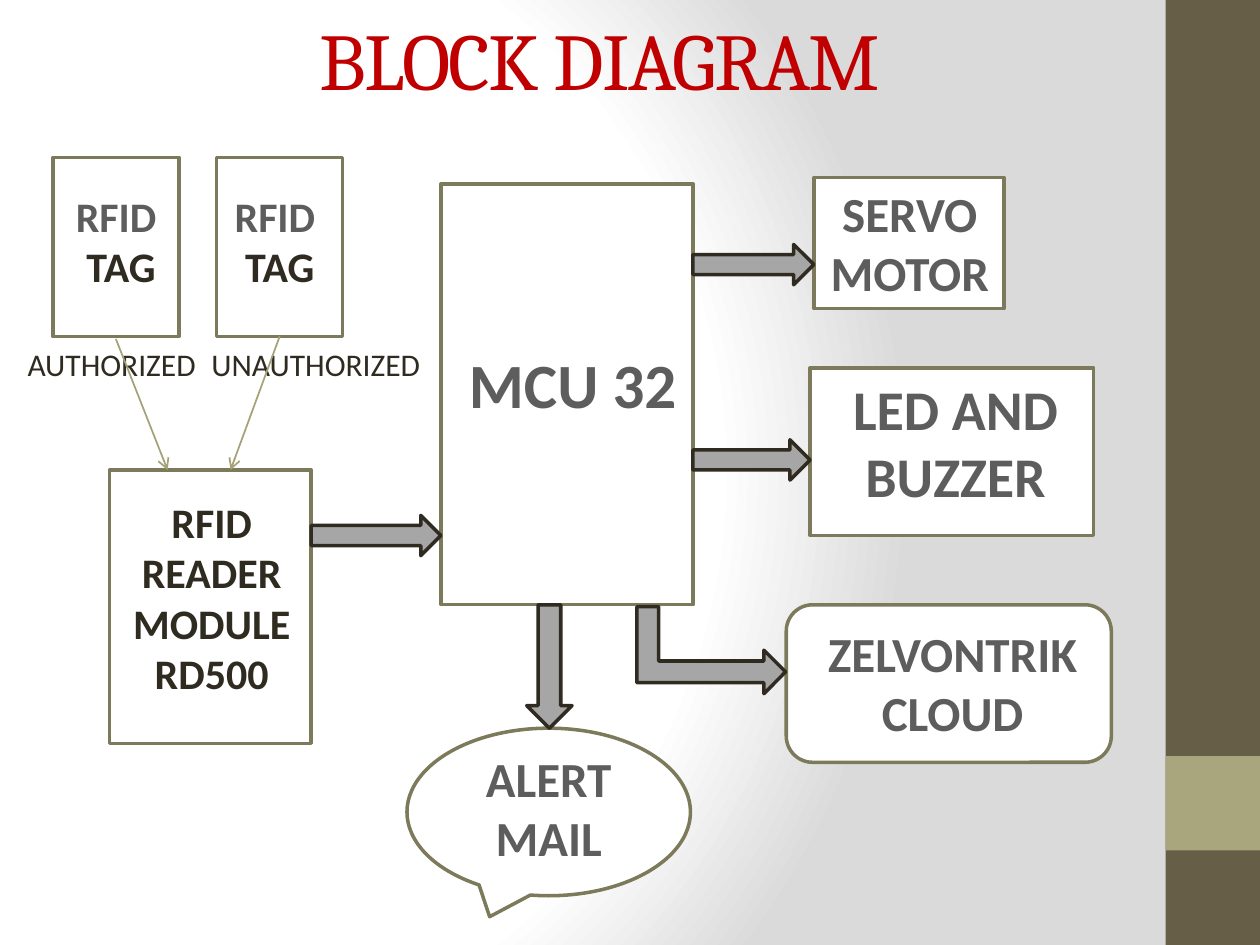
from dataclasses import dataclass

from lxml import etree
from pptx import Presentation
from pptx.dml.color import RGBColor
from pptx.enum.shapes import MSO_CONNECTOR, MSO_SHAPE
from pptx.enum.text import MSO_ANCHOR, PP_ALIGN
from pptx.oxml import parse_xml
from pptx.oxml.ns import qn
from pptx.util import Inches, Pt

RECT, ROUNDED = MSO_SHAPE.RECTANGLE, MSO_SHAPE.ROUNDED_RECTANGLE
CALLOUT = MSO_SHAPE.OVAL_CALLOUT
RIGHT, BENT = MSO_SHAPE.RIGHT_ARROW, MSO_SHAPE.BENT_UP_ARROW
STRAIGHT = MSO_CONNECTOR.STRAIGHT
CENTER, LEFT = PP_ALIGN.CENTER, PP_ALIGN.LEFT
MIDDLE = MSO_ANCHOR.MIDDLE

WHITE = RGBColor(0xFF, 0xFF, 0xFF)
BROWN = RGBColor(0x67, 0x5E, 0x47)
SAGE = RGBColor(0xA9, 0xA5, 0x7C)
OLIVE = RGBColor(0x7D, 0x7A, 0x5C)
LINK = RGBColor(0xA6, 0xA2, 0x78)
GRAY = RGBColor(0xA6, 0xA6, 0xA6)
DARK = RGBColor(0x2F, 0x2B, 0x20)
SLATE = RGBColor(0x5D, 0x5D, 0x5D)
RED = RGBColor(0xC0, 0x00, 0x00)

BACKDROP = """<a:gradFill xmlns:a="http://schemas.openxmlformats.org/drawingml/2006/main"
 rotWithShape="1"><a:gsLst><a:gs pos="0"><a:srgbClr val="FFFFFF"/></a:gs>
<a:gs pos="75000"><a:srgbClr val="FFFFFF"/></a:gs>
<a:gs pos="100000"><a:srgbClr val="DADADA"/></a:gs></a:gsLst>
<a:path path="circle"><a:fillToRect l="20000" t="50000" r="100000" b="50000"/></a:path>
</a:gradFill>"""


@dataclass
class Block:
    left: float
    top: float
    width: float
    height: float
    kind: int = RECT
    fill: RGBColor = WHITE
    line: RGBColor | None = OLIVE
    rotation: float = 0


@dataclass
class Label:
    left: float
    top: float
    width: float
    height: float
    lines: list[tuple[str, RGBColor]]
    size: int
    bold: bool = True
    align: int = CENTER
    wrap: bool = True


@dataclass
class Link:
    start: tuple[float, float]
    end: tuple[float, float]


def arrow(left: float, top: float, width: float, height: float,
          kind: int = RIGHT, rotation: float = 0) -> Block:
    return Block(left, top, width, height, kind, GRAY, DARK, rotation)


def set_font(font, color: RGBColor, **values) -> None:
    for name, value in values.items():
        setattr(font, name, value)
    font.color.rgb = color


def draw_block(slide, block: Block) -> None:
    shape = slide.shapes.add_shape(block.kind, Inches(block.left), Inches(block.top),
                                   Inches(block.width), Inches(block.height))
    shape.shadow.inherit = False
    shape.rotation = block.rotation
    shape.fill.solid()
    shape.fill.fore_color.rgb = block.fill
    if block.line is None:
        shape.line.fill.background()
    else:
        shape.line.color.rgb = block.line
        shape.line.width = Pt(2)


def draw_label(slide, label: Label) -> None:
    frame = slide.shapes.add_textbox(Inches(label.left), Inches(label.top),
                                     Inches(label.width), Inches(label.height)).text_frame
    frame.word_wrap = label.wrap
    for index, (text, color) in enumerate(label.lines):
        paragraph = frame.add_paragraph() if index else frame.paragraphs[0]
        paragraph.alignment = label.align
        run = paragraph.add_run()
        run.text = text
        set_font(run.font, color, name="Calibri", size=Pt(label.size), bold=label.bold)


def draw_link(slide, link: Link) -> None:
    points = [Inches(value) for value in (*link.start, *link.end)]
    connector = slide.shapes.add_connector(STRAIGHT, *points)
    connector.line.color.rgb = LINK
    connector.line.width = Pt(1)
    line_xml = connector.element.spPr.find(qn("a:ln"))
    etree.SubElement(line_xml, qn("a:tailEnd"), type="arrow")
    etree.SubElement(connector.element.spPr, qn("a:effectLst"))


presentation = Presentation()
presentation.slide_width, presentation.slide_height = Inches(10), Inches(7.5)
slide = presentation.slides.add_slide(presentation.slide_layouts[5])

# Background gradient
slide.background.fill.gradient()
default_gradient = slide.element.find(".//" + qn("p:bgPr")).find(qn("a:gradFill"))
default_gradient.getparent().replace(default_gradient, parse_xml(BACKDROP))

# Title
title = slide.shapes.title
title_place = {"left": 0.47, "top": -0.17, "width": 8.58, "height": 1.27}
for side, length in title_place.items():
    setattr(title, side, Inches(length))
title.text_frame.vertical_anchor = MIDDLE
heading = title.text_frame.paragraphs[0]
heading.alignment = CENTER
heading_run = heading.add_run()
heading_run.text = "BLOCK DIAGRAM"
set_font(heading_run.font, RED, name="Cambria", size=Pt(46))
heading_run._r.get_or_add_rPr().set("spc", "-100")

# Side band
BAND = [
    Block(9.25, 0, 0.75, 7.5, fill=BROWN, line=None),
    Block(9.25, 6, 0.75, 0.75, fill=SAGE, line=None),
]

# Blocks of the diagram
BLOCKS = [
    Block(3.5, 1.46, 2, 3.34),
    *(Block(left, 1.25, 1, 1.42) for left in (0.42, 1.72)),
    Block(0.87, 3.73, 1.6, 2.17),
    Block(6.46, 1.41, 1.51, 1.04),
    Block(6.43, 2.92, 2.25, 1.33),
    Block(3.23, 5.78, 2.25, 1.33, CALLOUT),
    Block(6.24, 4.8, 2.58, 1.25, ROUNDED),
]

# Wording of the blocks
LABELS = [
    Label(3.14, 2.69, 2.81, 0.71, [("MCU 32", SLATE)], 36),
    *(Label(left, 1.46, 1.56, 0.91, [("RFID ", SLATE), ("TAG", DARK)], 24)
      for left in (0.18, 1.44)),
    Label(0.12, 2.69, 1.55, 0.4, [("AUTHORIZED", DARK)], 18, False, LEFT, False),
    Label(1.58, 2.69, 1.87, 0.4, [("UNAUTHORIZED", DARK)], 18, False, LEFT, False),
    Label(0.89, 3.89, 1.58, 1.72, [("RFID READER MODULE RD500", DARK)], 24),
    Label(5.99, 1.41, 2.46, 1.04, [("SERVO MOTOR", SLATE)], 28),
    Label(6.42, 2.92, 2.33, 1.18, [("LED AND BUZZER", SLATE)], 32),
    Label(5.95, 4.9, 3.22, 1.04, [("ZELVONTRIK", SLATE), ("CLOUD", SLATE)], 28),
    Label(3.45, 5.89, 1.81, 1.04, [("ALERT MAIL", SLATE)], 28),
]

# Arrows between blocks, and thin links from tags to reader
ARROWS = [
    arrow(2.47, 4.09, 1.03, 0.32),
    arrow(3.87, 5.11, 0.98, 0.36, rotation=90),
    arrow(5.5, 3.49, 0.93, 0.32),
    arrow(5.5, 1.94, 0.96, 0.32),
    arrow(5.3, 4.57, 0.69, 1.18, BENT, 90),
]
LINKS = [Link((0.92, 2.69), (1.33, 3.73)), Link((2.22, 2.67), (1.83, 3.73))]

for draw, parts in ((draw_block, BAND + BLOCKS), (draw_label, LABELS),
                    (draw_block, ARROWS), (draw_link, LINKS)):
    for part in parts:
        draw(slide, part)

# The band lies behind the title
for band in list(slide.shapes)[1:1 + len(BAND)]:
    title.element.addprevious(band.element)

presentation.save("out.pptx")
